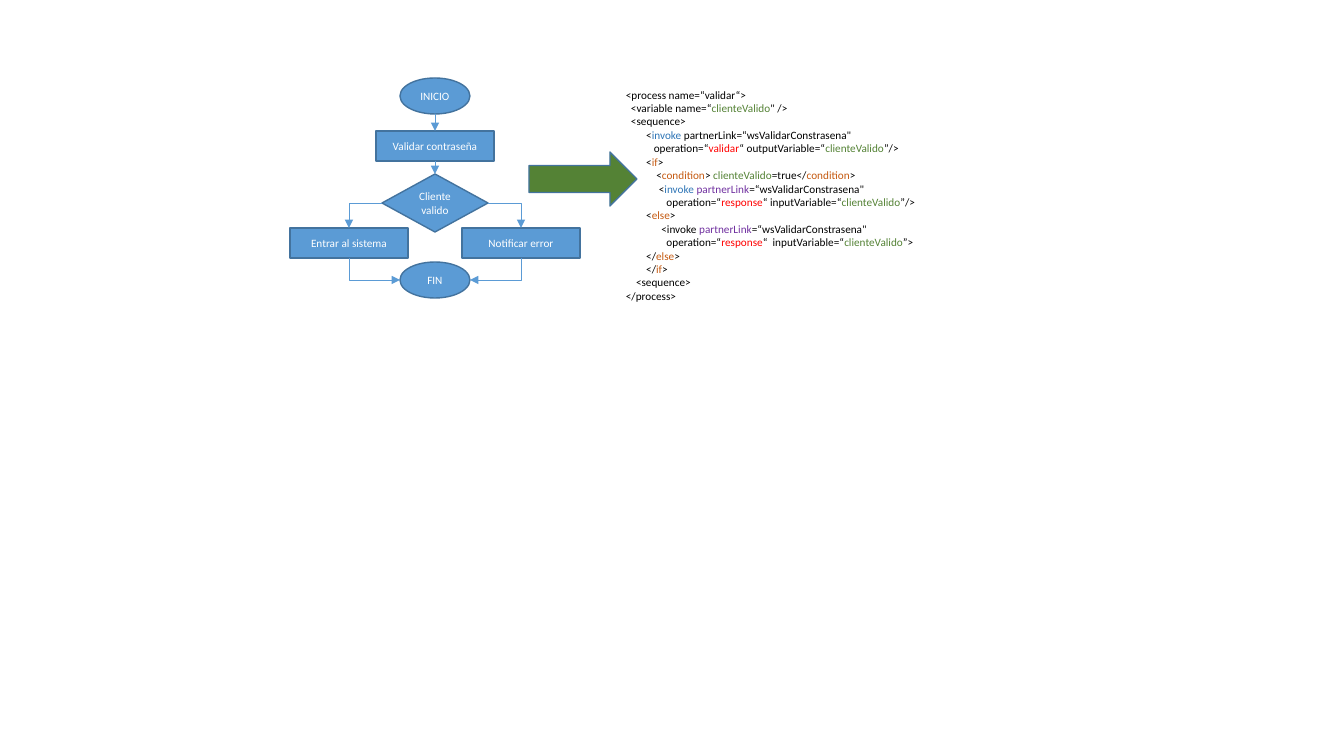
from lxml import etree
from pptx import Presentation, util as u
from pptx.dml.color import RGBColor
from pptx.enum import shapes, text
from pptx.oxml.ns import qn

PX = 914400 / 100.8
BLUE, EDGE, WHITE, BLACK = "5B9BD5", "43739E", "FFFFFF", "000000"
GREEN, SKY, RED, ORANGE, PURPLE = "548235", "2E75B6", "FF0000", "C55A11", "7030A0"
FORMAT = {"size": u.Pt(8), "name": "Calibri"}

OVAL = (shapes.MSO_SHAPE.FLOWCHART_CONNECTOR, 70, 36)
STEP = (shapes.MSO_SHAPE.RECTANGLE, 118, 30)
CHOICE = (shapes.MSO_SHAPE.FLOWCHART_DECISION, 106, 58)
MIDDLE, BRANCH = 435, 86
# name: (kind, centre x, centre y, label)
NODES = {
    "start": (OVAL, MIDDLE, 96, "INICIO"),
    "check": (STEP, MIDDLE, 146, "Validar contraseña"),
    "choice": (CHOICE, MIDDLE, 203, "Cliente valido"),
    "end": (OVAL, MIDDLE, 280, "FIN"),
    "error": (STEP, MIDDLE + BRANCH, 243, "Notificar error"),
    "enter": (STEP, MIDDLE - BRANCH, 243, "Entrar al sistema"),
}
ARROW = (529, 152, 108, 54)
CODE_BOX = (616, 83, 313, 228)
SPACE = 1.81  # width of one code column in points

CLIENT, RESPONSE = ("clienteValido", GREEN), ("response", RED)
INVOKE, LINK = ("invoke ", SKY), ("partnerLink", PURPLE)
IF, ELSE, CONDITION = ("if", ORANGE), ("else", ORANGE), ("condition", ORANGE)
SERVICE = "=“wsValidarConstrasena\""
# (indent in columns, runs); a plain string is black
CODE = [
    (0, ["<process name=“validar“>"]),
    (2, ["<variable name=“", CLIENT, "\" />"]),
    (2, ["<sequence>"]),
    (8, ["<", INVOKE, "partnerLink" + SERVICE]),
    (11, ["operation=“", ("validar", RED), "“ outputVariable=“", CLIENT, "”/>"]),
    (8, ["<", IF, ">"]),
    (12, ["<", CONDITION, "> ", CLIENT, "=true</", CONDITION, ">"]),
    (13, ["<", INVOKE, LINK, SERVICE]),
    (16, ["operation=“", RESPONSE, "“ inputVariable=“", CLIENT, "”/>"]),
    (8, ["<", ELSE, ">"]),
    (14, ["<invoke ", LINK, SERVICE]),
    (16, ["operation=“", RESPONSE, "“  inputVariable=“", CLIENT, "”>"]),
    (8, ["</", ELSE, ">"]),
    (8, ["</", IF, ">"]),
    (4, ["<sequence>"]),
    (0, ["</process>"]),
]


def px(*lengths):
    return [round(length * PX) for length in lengths]


def rgb(colour):
    return RGBColor.from_string(colour)


def add_span(para, words, colour):
    span = para.add_run()
    span.text = words
    for name, value in FORMAT.items():
        setattr(span.font, name, value)
    span.font.color.rgb = rgb(colour)


def add_block(page, kind, box, fill):
    block = page.shapes.add_shape(kind, *px(*box))
    block.shadow.inherit = False
    block.fill.solid()
    block.fill.fore_color.rgb = rgb(fill)
    block.line.color.rgb = rgb(EDGE)
    block.line.width = u.Pt(1)
    return block


def add_node(page, kind, x, y, label):
    preset, width, height = kind
    node = add_block(page, preset, (x - width / 2, y - height / 2, width, height), BLUE)
    frame = node.text_frame
    frame.word_wrap = True
    frame.vertical_anchor = text.MSO_ANCHOR.MIDDLE
    for side in ("left", "right", "top", "bottom"):
        setattr(frame, "margin_" + side, 0)
    para = frame.paragraphs[0]
    para.alignment = text.PP_ALIGN.CENTER
    add_span(para, label, WHITE)
    return node


def add_link(page, kind, start, finish):
    link = page.shapes.add_connector(kind, *px(*start, *finish))
    link.line.color.rgb = rgb(BLUE)
    link.line.width = u.Pt(0.5)
    etree.SubElement(link.line._get_or_add_ln(), qn("a:tailEnd"), type="triangle")
    properties = link._element.spPr
    etree.SubElement(properties, qn("a:effectLst"))
    if kind == shapes.MSO_CONNECTOR.ELBOW:
        properties.find(qn("a:prstGeom")).set("prst", "bentConnector2")
    return link


def add_drop(page, start, finish):
    """Add an elbow that runs down first: a one-bend elbow turned by a quarter."""
    (x1, y1), (x2, y2) = start, finish
    x, y = (x1 + x2) / 2, (y1 + y2) / 2
    half_width, half_height = (y2 - y1) / 2, abs(x2 - x1) / 2
    rightward = x2 > x1
    if rightward:
        half_width = -half_width
    link = add_link(page, shapes.MSO_CONNECTOR.ELBOW,
                    (x - half_width, y - half_height), (x + half_width, y + half_height))
    degrees = 270 if rightward else 90
    link._element.spPr.find(qn("a:xfrm")).set("rot", str(degrees * 60000))


def add_flow(page):
    nodes = {name: add_node(page, *node) for name, node in NODES.items()}

    def edge(name, across, down):
        """Give the middle of a side; across and down are -1, 0 or 1."""
        (_, width, height), x, y, _ = NODES[name]
        return x + across * width / 2, y + down * height / 2

    straight = shapes.MSO_CONNECTOR.STRAIGHT
    first = add_link(page, straight, edge("start", 0, 1), edge("check", 0, -1))
    first.end_connect(nodes["check"], 0)
    second = add_link(page, straight, edge("check", 0, 1), edge("choice", 0, -1))
    second.begin_connect(nodes["check"], 2)
    second.end_connect(nodes["choice"], 0)
    for name, side in (("error", 1), ("enter", -1)):
        add_link(page, shapes.MSO_CONNECTOR.ELBOW, edge("choice", side, 0), edge(name, 0, -1))
        add_drop(page, edge(name, 0, 1), edge("end", side, 0))


def add_code(page):
    frame = page.shapes.add_textbox(*px(*CODE_BOX)).text_frame
    frame.word_wrap = False
    frame.auto_size = text.MSO_AUTO_SIZE.SHAPE_TO_FIT_TEXT
    for row, (columns, spans) in enumerate(CODE):
        para = frame.add_paragraph() if row else frame.paragraphs[0]
        para._p.get_or_add_pPr().set("marL", str(u.Pt(columns * SPACE)))
        for span in spans:
            words, colour = (span, BLACK) if isinstance(span, str) else span
            add_span(para, words, colour)


def main():
    deck = Presentation()
    deck.slide_width, deck.slide_height = px(1344, 756)
    page = deck.slides.add_slide(deck.slide_layouts[6])
    add_flow(page)
    add_code(page)
    add_block(page, shapes.MSO_SHAPE.RIGHT_ARROW, ARROW, GREEN)
    deck.save("out.pptx")


if __name__ == "__main__":
    main()
